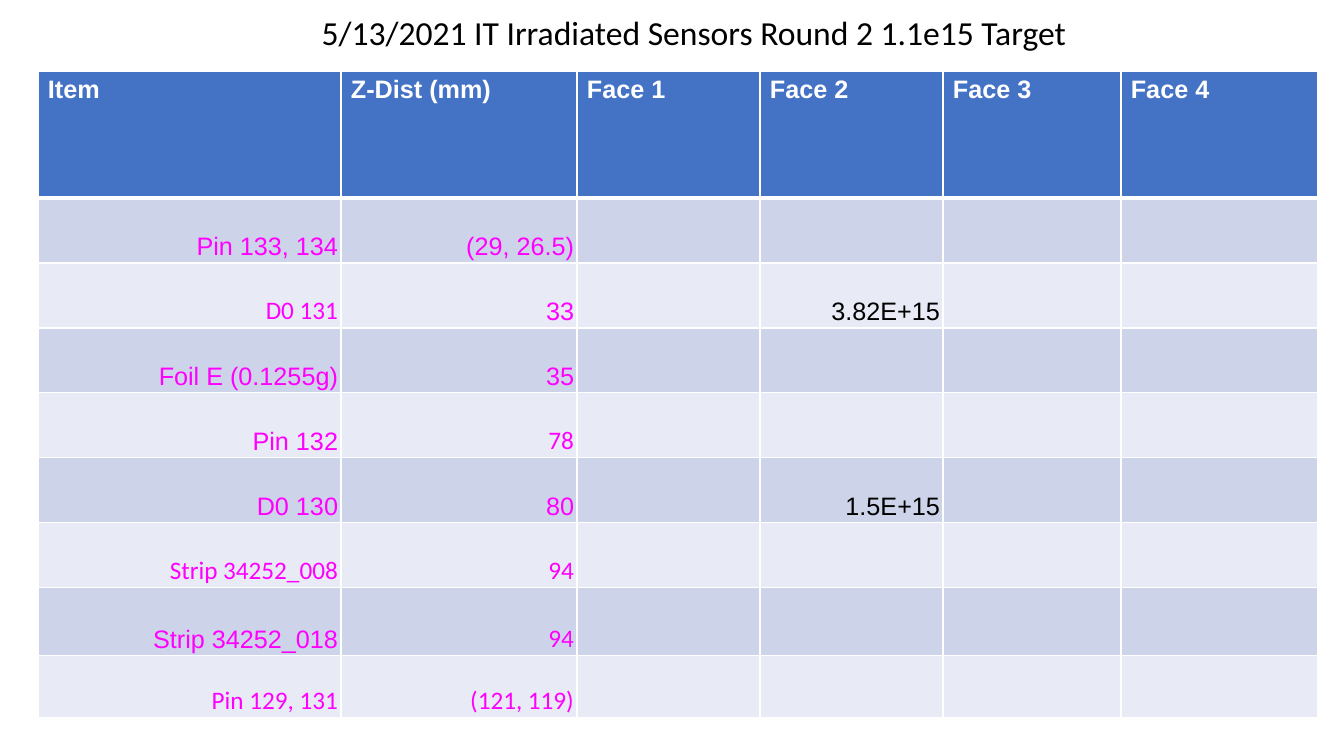
from dataclasses import dataclass

from lxml.etree import SubElement
from pptx import Presentation
from pptx.dml.color import RGBColor
from pptx.enum.text import MSO_ANCHOR as Anchor, PP_ALIGN as Align
from pptx.oxml.ns import qn
from pptx.util import Pt

EMU_PER_PIXEL = 914400 / 100.8


@dataclass(frozen=True)
class Theme:
    black: str = "000000"
    white: str = "FFFFFF"
    header: str = "4472C4"
    bands: tuple = ("CDD4EA", "E8EBF5")
    accent: str = "FF00FF"
    sans: str = "Arial"
    body: str = "Calibri"
    title_size: int = 24
    cell_size: int = 18


THEME = Theme()
SANS, BODY = THEME.sans, THEME.body

COLUMN_WIDTHS = (303, 236, 183, 183, 178, 197)
ROW_HEIGHTS = (127, *[65] * 6, 68, 62)
HEADINGS = ("Item", "Z-Dist (mm)", *(f"Face {face}" for face in range(1, 5)))
FACE_2_COLUMN = HEADINGS.index("Face 2")

# Item and its font, distance and its font, reading on face 2
SENSORS = (
    ("Pin 133, 134", SANS, "(29, 26.5)", SANS, ""),
    ("D0 131", BODY, "33", SANS, "3.82E+15"),
    ("Foil E (0.1255g)", SANS, "35", SANS, ""),
    ("Pin 132", SANS, "78", BODY, ""),
    ("D0 130", SANS, "80", SANS, "1.5E+15"),
    ("Strip 34252_008", BODY, "94", BODY, ""),
    ("Strip 34252_018", SANS, "94", BODY, ""),
    ("Pin 129, 131", BODY, "(121, 119)", BODY, ""),
)


def px(length):
    return round(length * EMU_PER_PIXEL)


def write(frame, text, *, font=SANS, size=THEME.cell_size, color=THEME.black,
          bold=False, align=Align.LEFT):
    para = frame.paragraphs[0]
    para.alignment = align
    span = para.add_run()
    span.text = text
    span.font.name = font
    span.font.size = Pt(size)
    span.font.bold = bold
    span.font.color.rgb = RGBColor.from_string(color)


def set_margins(target, across, down):
    target.margin_left = target.margin_right = px(across)
    target.margin_top = target.margin_bottom = px(down)


def style_cell(cell, fill, top=1, bottom=1):
    # Borders come before the fill in the cell properties
    properties = cell._tc.get_or_add_tcPr()
    for side, width in (("L", 1), ("R", 1), ("T", top), ("B", bottom)):
        line = SubElement(properties, qn(f"a:ln{side}"), w=str(Pt(width)))
        paint = SubElement(line, qn("a:solidFill"))
        SubElement(paint, qn("a:srgbClr"), val=THEME.white)
    cell.fill.solid()
    cell.fill.fore_color.rgb = RGBColor.from_string(fill)


def add_title(page, box):
    title = page.shapes.title
    title.left, title.top, title.width, title.height = map(px, box)
    frame = title.text_frame
    frame.word_wrap = True
    frame.vertical_anchor = Anchor.TOP
    set_margins(frame, 10, 5)
    write(frame, "5/13/2021 IT Irradiated Sensors Round 2 1.1e15 Target",
          font=BODY, size=THEME.title_size, align=Align.CENTER)


def add_sensor_table(page, box):
    table = page.shapes.add_table(
        len(ROW_HEIGHTS), len(COLUMN_WIDTHS), *map(px, box)).table
    for column, width in zip(table.columns, COLUMN_WIDTHS):
        column.width = px(width)
    for row, height in zip(table.rows, ROW_HEIGHTS):
        row.height = px(height)

    # Header
    for column, heading in enumerate(HEADINGS):
        cell = table.cell(0, column)
        style_cell(cell, THEME.header, bottom=3)
        set_margins(cell, 10, 5)
        write(cell.text_frame, heading, color=THEME.white, bold=True)

    # Sensor rows in alternating bands
    for row, (item, item_font, distance, distance_font, reading) in enumerate(SENSORS, 1):
        for column in range(len(HEADINGS)):
            style_cell(table.cell(row, column), THEME.bands[(row - 1) % 2],
                       top=3 if row == 1 else 1)
        entries = ((0, item, item_font, THEME.accent),
                   (1, distance, distance_font, THEME.accent),
                   (FACE_2_COLUMN, reading, SANS, THEME.black))
        for column, text, font, color in entries:
            if text:
                cell = table.cell(row, column)
                cell.vertical_anchor = Anchor.BOTTOM
                set_margins(cell, 3, 2)
                write(cell.text_frame, text, font=font, color=color, align=Align.RIGHT)


deck = Presentation()
deck.slide_width, deck.slide_height = px(1344), px(756)
page = deck.slides.add_slide(deck.slide_layouts.get_by_name("Title Only"))
add_title(page, (150, 7, 1088, 50))
add_sensor_table(page, (38, 71, sum(COLUMN_WIDTHS), sum(ROW_HEIGHTS)))
deck.save("out.pptx")
